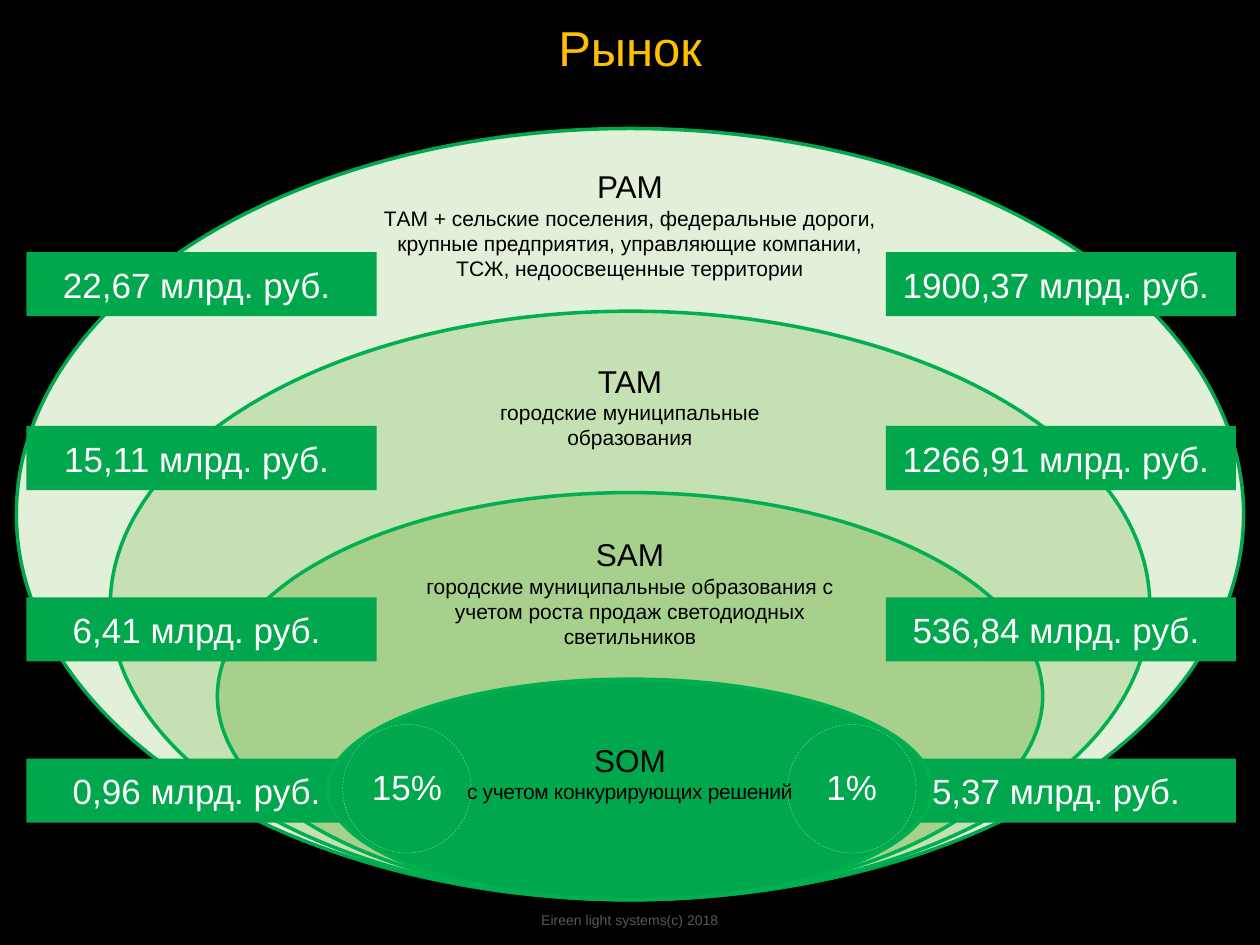
"""Builds the market slide: nested PAM, TAM, SAM and SOM ovals with their volumes."""
from lxml.etree import SubElement
from pptx import Presentation
from pptx.dml.color import RGBColor
from pptx.enum.dml import MSO_LINE
from pptx.enum.shapes import MSO_SHAPE
from pptx.enum.text import MSO_ANCHOR, PP_ALIGN
from pptx.oxml.ns import qn
from pptx.util import Inches, Pt

GREEN, EDGE, WHITE, BLACK = "00A74C", "00B050", "FFFFFF", "000000"
FRAME = {"word_wrap": True, "vertical_anchor": MSO_ANCHOR.MIDDLE}
TOP_FRAME = {**FRAME, "vertical_anchor": MSO_ANCHOR.TOP}
TIGHT_FRAME = {**FRAME, "margin_left": 0, "margin_right": 0, "margin_top": 0, "margin_bottom": 0}
CENTRED = {"alignment": PP_ALIGN.CENTER}

presentation = Presentation()
presentation.slide_width, presentation.slide_height = Inches(10), Inches(7.5)
cell = presentation.slide_width / 100
slide = presentation.slides.add_slide(presentation.slide_layouts[5])
slide.background.fill.solid()
slide.background.fill.fore_color.rgb = RGBColor.from_string(BLACK)


def draw(kind, columns_rows, fill, edge=None, width=2):
    """Adds a filled preset shape placed in grid cells."""
    shape = slide.shapes.add_shape(kind, *[round(cell * value) for value in columns_rows])
    shape.shadow.inherit = False
    shape.fill.solid()
    shape.fill.fore_color.rgb = RGBColor.from_string(fill)
    if edge:
        shape.line.color.rgb = RGBColor.from_string(edge)
        shape.line.width = Pt(width)
    else:
        shape.line.fill.background()
    return shape


def write(shape, lines, color, frame=FRAME, layout=CENTRED):
    """Writes (text, size) lines into one paragraph and returns the last run."""
    paragraph = shape.text_frame.paragraphs[0]
    for target, values in ((shape.text_frame, frame), (paragraph, layout)):
        for name, value in values.items():
            setattr(target, name, value)
    for index, (text, size) in enumerate(lines):
        if index:
            paragraph.add_line_break()
        run = paragraph.add_run()
        run.text = text
        for name, value in {"size": Pt(size), "name": "Arial", "bold": False}.items():
            setattr(run.font, name, value)
        run.font.color.rgb = RGBColor.from_string(color)
    return run


title = slide.shapes.title
for name, value in {"left": 0, "top": 1.4, "width": 100, "height": 5.2}.items():
    setattr(title, name, round(cell * value))
write(title, [("Рынок", 28)], "FFC000", TOP_FRAME,
      {**CENTRED, "line_spacing": Pt(30), "space_before": Pt(0)})

ovals_bottom = 71.4
ovals = [
    (97.4, 61.2, "E2EFD9", GREEN),
    (82.5, 46.7, "C5E0B3", EDGE),
    (65.5, 32.3, "A8D08D", EDGE),
    (48, 17.5, GREEN, EDGE),
]
volumes = [
    (20, "22,67 млрд. руб. ", "1900,37 млрд. руб. "),
    (33.8, "15,11 млрд. руб. ", "1266,91 млрд. руб. "),
    (47.4, "6,41 млрд. руб. ", "536,84 млрд. руб. "),
    (60.2, "0,96 млрд. руб. ", "5,37 млрд. руб. "),
]
for index, (width, height, fill, edge) in enumerate(ovals):
    if index == len(ovals) - 1:
        for top, *pair in volumes:
            for left, volume in zip((2.1, 70.3), pair):
                box = draw(MSO_SHAPE.RECTANGLE, (left, top, 27.8, 5.1), GREEN)
                write(box, [(volume, 20)], WHITE)
    draw(MSO_SHAPE.OVAL, (50 - width / 2, ovals_bottom - height, width, height), fill, edge)

for left, share in ((27.2, "15%"), (62.5, "1%")):
    circle = draw(MSO_SHAPE.OVAL, (left, 57.5, 10.2, 10.2), GREEN, WHITE, 0.25)
    circle.line.dash_style = MSO_LINE.DASH
    edge_color = circle.line._ln.find(".//" + qn("a:srgbClr"))
    SubElement(edge_color, qn("a:alpha")).set("val", "50000")
    write(circle, [(share, 20)], WHITE, TIGHT_FRAME, {**CENTRED, "line_spacing": 0.9})

labels = [
    (12.8, 43.3, 10.1, "PAM", ["ТAM + сельские поселения, федеральные дороги, крупные предприятия, "
                               "управляющие компании, ТСЖ, недоосвещенные территории"]),
    (28.2, 36.4, 8.1, "TAM", ["городские муниципальные", "образования"]),
    (42, 35.5, 10.1, "SAM", ["городские муниципальные образования с учетом роста продаж "
                             "светодиодных светильников"]),
    (58.3, 38.4, 6.1, "SOM", ["с учетом конкурирующих решений"]),
]
for top, width, height, name, details in labels:
    place = [round(cell * value) for value in (50 - width / 2, top, width, height)]
    label = slide.shapes.add_textbox(*place)
    run = write(label, [(name, 18)] + [(detail, 12) for detail in details], BLACK,
                TOP_FRAME, {**CENTRED, "space_after": Pt(6)})
    if name == "SOM":
        run.font._element.set("spc", "-20")

footer = slide.shapes.add_textbox(*[round(cell * value) for value in (27.5, 71, 45, 4)])
write(footer, [("Eireen light systems(c) 2018", 8)], "595959")

presentation.save("out.pptx")
